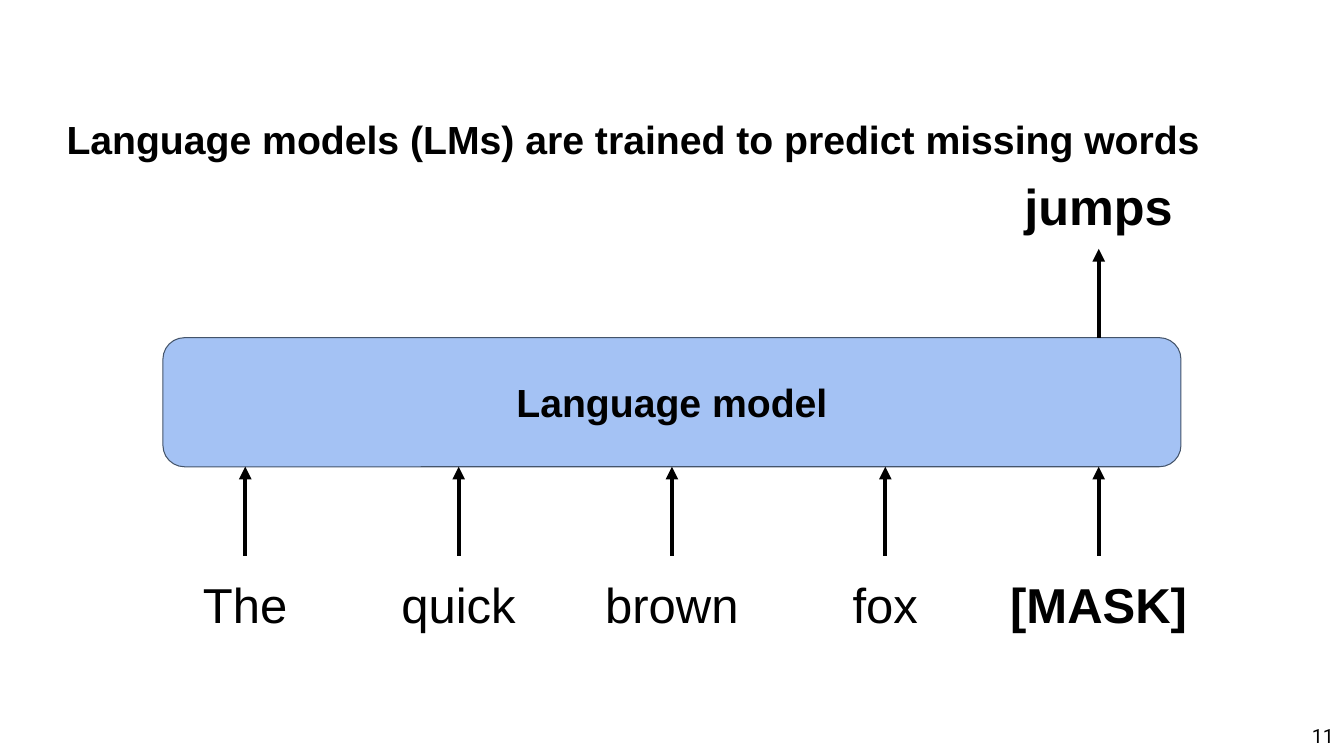
from lxml.etree import SubElement
from pptx import Presentation
from pptx.dml.color import RGBColor
from pptx.enum.shapes import MSO_CONNECTOR, MSO_SHAPE
from pptx.enum.text import MSO_ANCHOR, PP_ALIGN
from pptx.oxml.ns import qn
from pptx.util import Pt

# Content
TITLE = "Language models (LMs) are trained to predict missing words"
MODEL = "Language model"
INPUT_WORDS = ["The", "quick", "brown", "fox", "[MASK]"]
MASK = "[MASK]"
PREDICTION = "jumps"
PAGE_NUMBER = "11"

BLACK = RGBColor(0x00, 0x00, 0x00)
MODEL_BLUE = RGBColor(0xA4, 0xC2, 0xF4)
MODEL_EDGE = RGBColor(0x44, 0x54, 0x6A)

# Layout in points
SLIDE_W, SLIDE_H = 960, 540
MODEL_TOP, MODEL_W, MODEL_H = 241.2, 727.2, 92.2
MODEL_BOTTOM = MODEL_TOP + MODEL_H
CENTER_X = SLIDE_W / 2
WORD_STEP = 152.4
ARROW_LENGTH = 63.4
WORD_W, MASK_W, WORD_H = 122, 166, 57
WORD_TOP = 406.8
PREDICTION_TOP = 121.7

prs = Presentation()
prs.slide_width, prs.slide_height = Pt(SLIDE_W), Pt(SLIDE_H)
slide = prs.slides.add_slide(prs.slide_layouts[5])


def write(shape, text, size, bold=False, align=PP_ALIGN.CENTER,
          anchor=MSO_ANCHOR.MIDDLE, font="Arial"):
    frame = shape.text_frame
    frame.text = text
    frame.word_wrap = True
    frame.vertical_anchor = anchor
    paragraph = frame.paragraphs[0]
    paragraph.alignment = align
    paragraph.font.name = font
    paragraph.font.size = Pt(size)
    paragraph.font.bold = bold
    paragraph.font.color.rgb = BLACK


def add_word(text, center_x, top, width, size, bold):
    box = slide.shapes.add_textbox(
        Pt(center_x - width / 2), Pt(top), Pt(width), Pt(WORD_H))
    write(box, text, size, bold, anchor=MSO_ANCHOR.TOP)


def add_up_arrow(x, bottom):
    arrow = slide.shapes.add_connector(
        MSO_CONNECTOR.STRAIGHT, Pt(x), Pt(bottom), Pt(x), Pt(bottom - ARROW_LENGTH))
    arrow.line.color.rgb = BLACK
    arrow.line.width = Pt(3)
    SubElement(arrow.line._get_or_add_ln(), qn("a:tailEnd"), type="triangle")
    SubElement(arrow._element.spPr, qn("a:effectLst"))
    return arrow


# Title and page number
title = slide.shapes.title
title.left, title.top, title.width, title.height = Pt(40.3), Pt(70.6), Pt(879), Pt(57)
write(title, TITLE, 28, bold=True, align=PP_ALIGN.LEFT)
page = slide.shapes.add_textbox(Pt(890.6), Pt(511.2), Pt(69.4), Pt(28.8))
write(page, PAGE_NUMBER, 14, align=PP_ALIGN.RIGHT, font="Roboto")

# Language model
model = slide.shapes.add_shape(
    MSO_SHAPE.ROUNDED_RECTANGLE, Pt(CENTER_X - MODEL_W / 2), Pt(MODEL_TOP),
    Pt(MODEL_W), Pt(MODEL_H))
model.shadow.inherit = False
model.fill.solid()
model.fill.fore_color.rgb = MODEL_BLUE
model.line.color.rgb = MODEL_EDGE
model.line.width = Pt(0.75)
write(model, MODEL, 28, bold=True)

# Input words, each with an arrow into the model
middle = len(INPUT_WORDS) // 2
for i, word in enumerate(INPUT_WORDS):
    x = CENTER_X + (i - middle) * WORD_STEP
    masked = word == MASK
    arrow = add_up_arrow(x, MODEL_BOTTOM + ARROW_LENGTH)
    if i == middle:
        arrow.end_connect(model, 2)
    add_word(word, x, WORD_TOP, MASK_W if masked else WORD_W, 35, masked)

    # The masked word gets a prediction above the model
    if masked:
        add_up_arrow(x, MODEL_TOP)
        add_word(PREDICTION, x, PREDICTION_TOP, WORD_W, 36, True)

prs.save("out.pptx")
